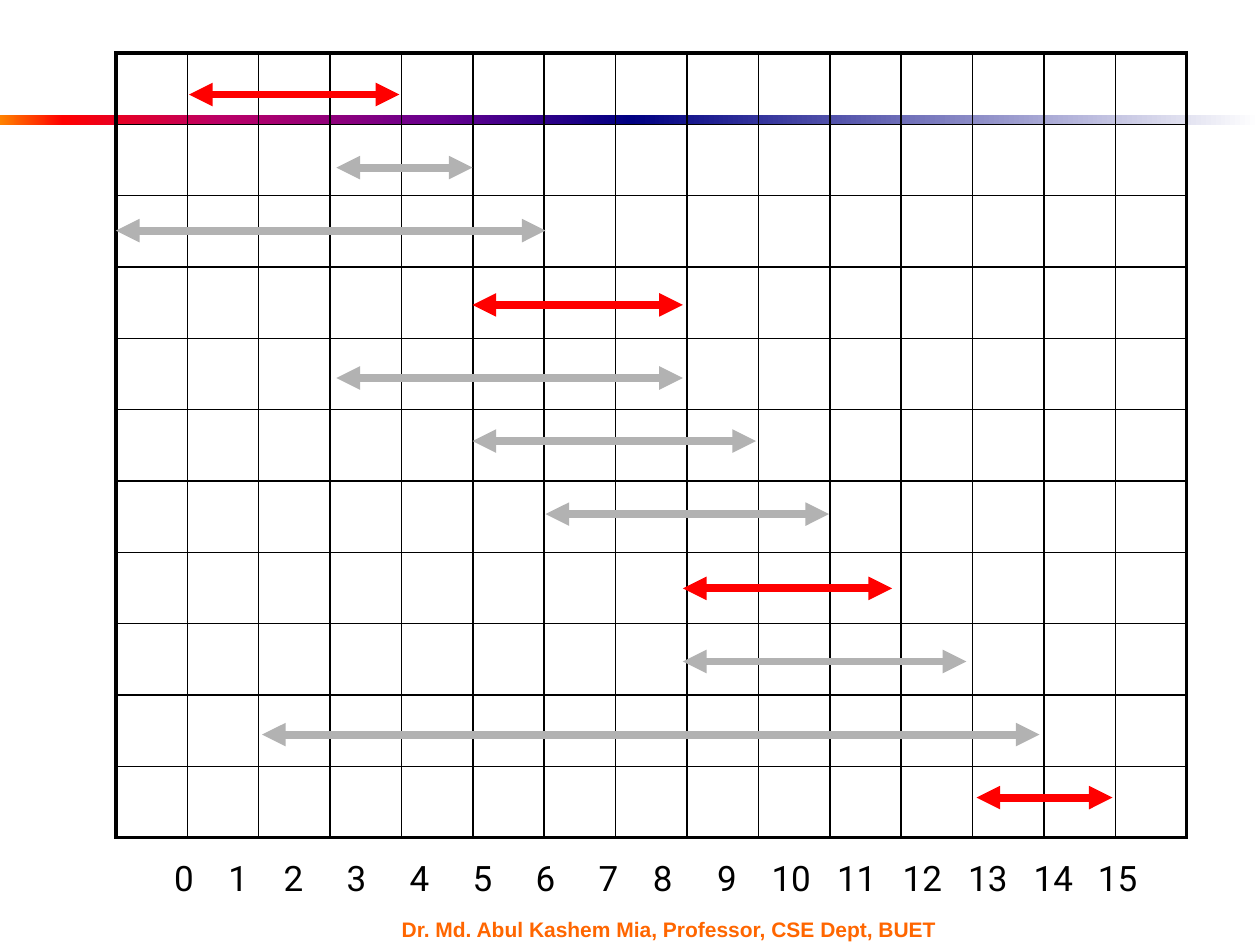
"""Build a slide charting activity intervals on a numbered time grid."""
import pptx
import pptx.dml.color
import pptx.enum.shapes
import pptx.enum.text
import pptx.oxml.ns
import pptx.oxml.xmlchemy
import pptx.util
from lxml import etree

Inches = pptx.util.Inches
Pt = pptx.util.Pt
RGBColor = pptx.dml.color.RGBColor
qn = pptx.oxml.ns.qn

BLACK = RGBColor(0x00, 0x00, 0x00)
RED = RGBColor(0xFF, 0x00, 0x00)
GRAY = RGBColor(0xB2, 0xB2, 0xB2)
ORANGE = RGBColor(0xFF, 0x66, 0x00)
AMBER = RGBColor(0xFF, 0x82, 0x00)
CRIMSON = RGBColor(0xBA, 0x00, 0x66)
PURPLE = RGBColor(0x66, 0x00, 0x8F)
NAVY = RGBColor(0x00, 0x00, 0x82)
WHITE = RGBColor(0xFF, 0xFF, 0xFF)

ROWS, COLS = 11, 15
GRID = (0.92, 0.42, 8.5, 6.23)
INTERVALS = [
    (1.5, 3.17, 0.75, RED),
    (2.67, 3.75, 1.33, GRAY),
    (0.92, 4.33, 1.83, GRAY),
    (3.75, 5.42, 2.42, RED),
    (2.67, 5.42, 3, GRAY),
    (3.75, 6, 3.5, GRAY),
    (4.33, 6.58, 4.08, GRAY),
    (5.42, 7.08, 4.67, RED),
    (5.42, 7.67, 5.25, GRAY),
    (2.08, 8.25, 5.83, GRAY),
    (7.75, 8.83, 6.33, RED),
]
LABEL_CENTERS = [1.46, 1.89, 2.33, 2.83, 3.33, 3.83, 4.33, 4.83,
                 5.26, 5.77, 6.28, 6.8, 7.32, 7.84, 8.36, 8.87]


def add_gradient_bar(s, left, stops):
    sp = s.shapes.add_shape(pptx.enum.shapes.MSO_SHAPE.RECTANGLE,
                            Inches(left), Inches(0.91), Inches(5), Inches(0.08))
    sp.shadow.inherit = False
    sp.line.fill.background()
    sp.fill.gradient()
    sp.fill.gradient_angle = 0
    stop_list = sp._element.spPr.find(qn("a:gradFill")).find(qn("a:gsLst"))
    for old in list(stop_list):
        stop_list.remove(old)
    for position, color in stops:
        stop = etree.SubElement(stop_list, qn("a:gs"), pos=str(position * 1000))
        etree.SubElement(stop, qn("a:srgbClr"), val=str(color))


def set_border(cell, side, width):
    line = etree.SubElement(cell._tc.get_or_add_tcPr(), qn(f"a:ln{side}"), w=str(Pt(width)))
    fill = etree.SubElement(line, qn("a:solidFill"))
    etree.SubElement(fill, qn("a:srgbClr"), val=str(BLACK))


def add_grid(s):
    table = s.shapes.add_table(ROWS, COLS, *map(Inches, GRID)).table
    table.first_row = table.horz_banding = False
    for column in table.columns:
        column.width = Inches(GRID[2] / COLS)
    for row in table.rows:
        row.height = Inches(GRID[3] / ROWS)
    for i in range(ROWS):
        for j in range(COLS):
            cell = table.cell(i, j)
            outer = {"L": j == 0, "R": j == COLS - 1, "T": i == 0, "B": i == ROWS - 1}
            for side, is_outer in outer.items():
                set_border(cell, side, 2.25 if is_outer else 1)
            cell.fill.background()


def add_interval(s, start, end, y, color):
    line = s.shapes.add_connector(pptx.enum.shapes.MSO_CONNECTOR.STRAIGHT,
                                  Inches(start), Inches(y), Inches(end), Inches(y))
    line.line.color.rgb = color
    line.line.width = Pt(4.5)
    ln = line.line._get_or_add_ln()
    for end_tag in ("a:headEnd", "a:tailEnd"):
        etree.SubElement(ln, qn(end_tag), type="triangle")
    etree.SubElement(line._element.spPr, qn("a:effectLst"))


def add_text(s, box, text, font, size, color, bold=False):
    tf = s.shapes.add_textbox(*map(Inches, box)).text_frame
    tf.word_wrap = True
    p = tf.paragraphs[0]
    r = p.add_run()
    r.text = text
    r.font.name = font
    r.font.size = Pt(size)
    r.font.bold = bold
    r.font.color.rgb = color
    return tf


def add_axis_labels(s):
    left = 0.67
    text = "".join(f"\t{n}" for n in range(len(LABEL_CENTERS)))
    tf = add_text(s, (left, 6.75, 9.1, 0.44), text, "Roboto", 20, BLACK)
    tf.margin_left = tf.margin_right = 0
    tabs = etree.SubElement(tf.paragraphs[0]._p.get_or_add_pPr(), qn("a:tabLst"))
    for center in LABEL_CENTERS:
        etree.SubElement(tabs, qn("a:tab"), pos=str(Inches(center - left)), algn="ctr")


def main():
    prs = pptx.Presentation()
    prs.slide_width, prs.slide_height = Inches(10), Inches(7.5)
    s = prs.slides.add_slide(prs.slide_layouts[6])
    add_gradient_bar(s, 0, [(0, AMBER), (10, RED), (35, CRIMSON), (70, PURPLE), (100, NAVY)])
    add_gradient_bar(s, 5, [(0, NAVY), (100, WHITE)])
    footer = add_text(s, (3.09, 7.28, 4.67, 0.18),
                      "Dr. Md. Abul Kashem Mia, Professor, CSE Dept, BUET",
                      "Arial", 12, ORANGE, bold=True)
    footer.vertical_anchor = pptx.enum.text.MSO_ANCHOR.MIDDLE
    add_grid(s)
    for interval in INTERVALS:
        add_interval(s, *interval)
    add_axis_labels(s)
    prs.save("out.pptx")


main()
